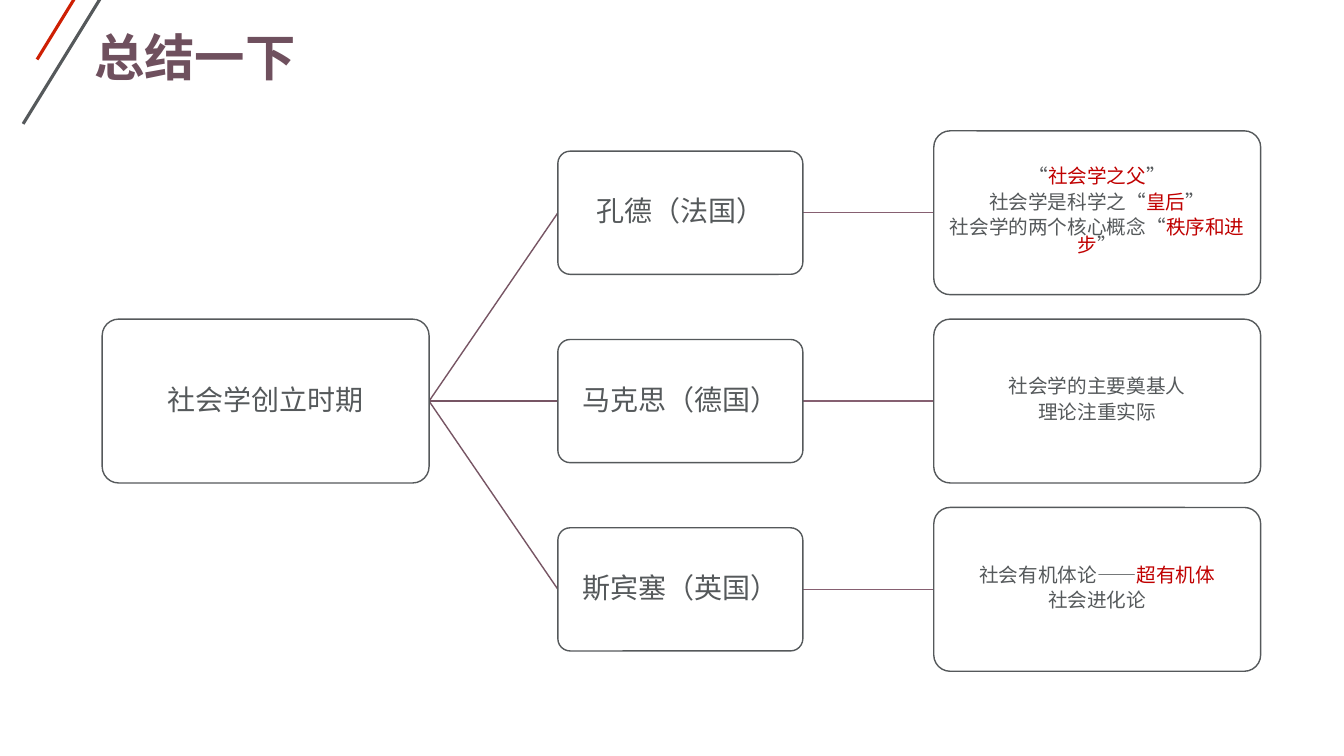
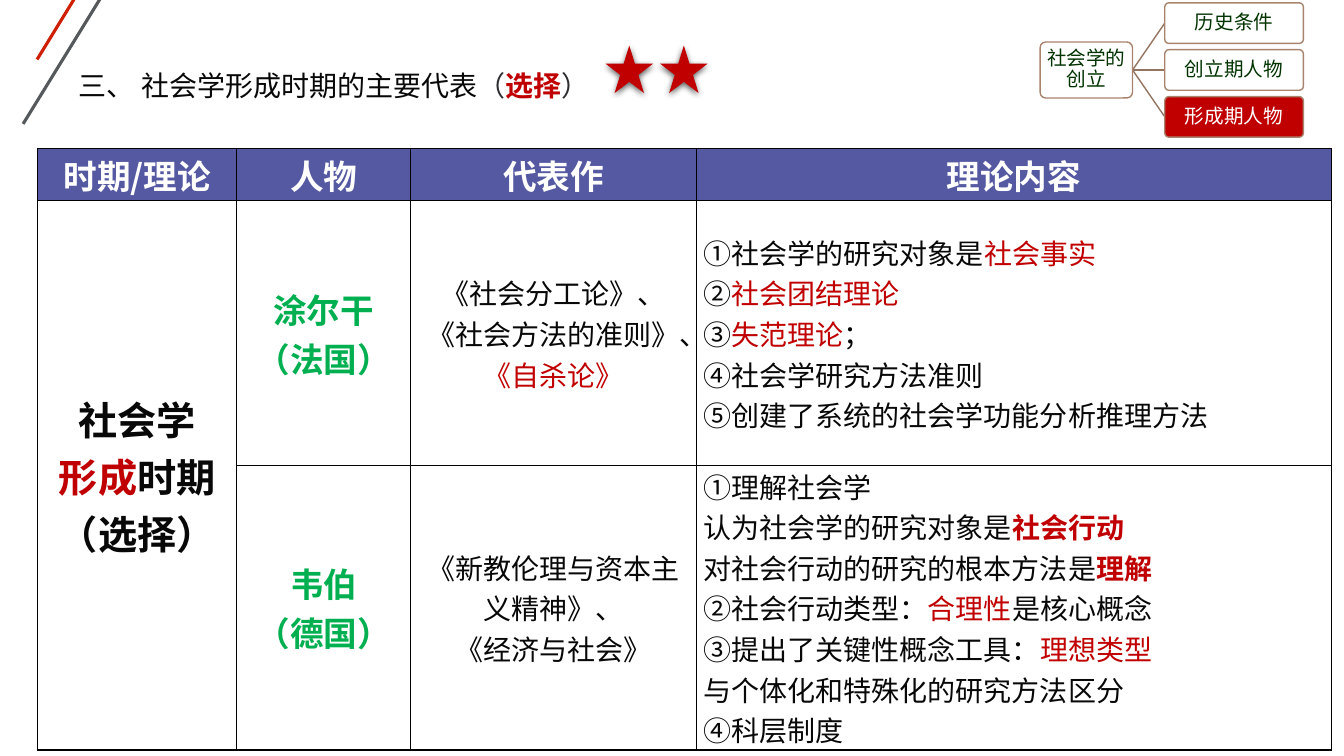
from lxml import etree
from pptx import Presentation
from pptx.dml.color import RGBColor
from pptx.enum import shapes, text
from pptx.oxml import ns
from pptx.util import Pt

SANS = "Noto Sans CJK SC"
GREY, RED, BLACK, WHITE = "55595B", "C00000", "080808", "FFFFFF"
MARKS = {"*": (RED, None), "!": (RED, True), "~": ("2A2C2E", None)}


def color(value):
    return RGBColor.from_string(value)


def write(frame, content, size=20, font=SANS, ink=BLACK, bold=False, align="CENTER",
          anchor="MIDDLE", spacing=1.0, after=0, inset=None, wrap=True):
    frame.word_wrap = wrap
    frame.auto_size = text.MSO_AUTO_SIZE.NONE
    frame.vertical_anchor = text.MSO_ANCHOR[anchor]
    if inset is not None:
        frame.margin_left = frame.margin_right = Pt(inset)
        frame.margin_top = frame.margin_bottom = Pt(inset)
    for index, row in enumerate(content.split("\n")):
        para = frame.add_paragraph() if index else frame.paragraphs[0]
        para.alignment = text.PP_ALIGN[align]
        para.line_spacing = spacing
        para.space_before = Pt(0)
        para.space_after = Pt(after)
        for piece in row.split("|"):
            span_ink, span_bold = MARKS.get(piece[0], (ink, None))
            span = para.add_run()
            span.text = piece.lstrip("*!~")
            span.font.size = Pt(size)
            span.font.bold = bold if span_bold is None else span_bold
            span.font.color.rgb = color(span_ink)
            span.font.name = font
            east = etree.SubElement(span.font._element, ns.qn("a:ea"))
            east.set("typeface", font)


deck = Presentation()
deck.slide_width, deck.slide_height = Pt(960), Pt(540)
layout = deck.slide_layouts[5]
summary = deck.slides.add_slide(layout)
theory = deck.slides.add_slide(layout)

titles = [
    (summary, (60, 18.5, 841, 47.5), "总结一下",
     dict(size=36, ink="6F505E", bold=True, anchor="BOTTOM", spacing=0.9)),
    (theory, (49, 32, 384, 58), "三、 社会学形成时期的主要代表|~（|!选择|~）", dict(wrap=False)),
]
for page, (left, top, width, height), content, style in titles:
    title = page.shapes.title
    title.left, title.top, title.width, title.height = Pt(left), Pt(top), Pt(width), Pt(height)
    write(title.text_frame, content, align="LEFT", **style)

table_lefts, table_top = 27, 106
columns = [142, 124.5, 204, 453.5]
rows = [37.5, 189, 203]
grid = theory.shapes.add_table(3, 4, Pt(table_lefts), Pt(table_top),
                               Pt(sum(columns)), Pt(sum(rows))).table
for column, width in zip(grid.columns, columns):
    column.width = Pt(width)
for row, height in zip(grid.rows, rows):
    row.height = Pt(height)
grid.cell(1, 0).merge(grid.cell(2, 0))

period = "社会学\n|*形成|时期\n（选择）".replace("\n|", "\n")
cells = [
    ["时期/理论", "人物", "代表作", "理论内容"],
    [period, "涂尔干\n（法国）", "《社会分工论》、《社会方法的准则》、|*《自杀论》",
     "①社会学的研究对象是|*社会事实\n②|*社会团结理论\n③|*失范理论|；\n"
     "④社会学研究方法准则\n⑤创建了系统的社会学功能分析推理方法"],
    ["", "韦伯\n（德国）", "《新教伦理与资本主义精神》、\n《经济与社会》",
     "①理解社会学\n认为社会学的研究对象是|!社会行动\n对社会行动的研究的根本方法是|!理解\n"
     "②社会行动类型：|*合理性|是核心概念\n③提出了关键性概念工具：|*理想类型\n"
     "与个体化和特殊化的研究方法区分\n④科层制度"],
]
header_style = dict(size=24, ink=WHITE, bold=True)
column_styles = [dict(size=28, bold=True), dict(size=24, ink="00B050", bold=True),
                 dict(), dict(align="LEFT")]
for row, contents in enumerate(cells):
    for column, content in enumerate(contents):
        cell = grid.cell(row, column)
        cell.margin_left = cell.margin_right = Pt(5)
        cell.margin_top = cell.margin_bottom = 0
        cell.vertical_anchor = text.MSO_ANCHOR.MIDDLE
        properties = cell._tc.get_or_add_tcPr()
        for side in ("a:lnL", "a:lnR", "a:lnT", "a:lnB"):
            border = etree.SubElement(properties, ns.qn(side), w=str(Pt(1)))
            fill = etree.SubElement(border, ns.qn("a:solidFill"))
            etree.SubElement(fill, ns.qn("a:srgbClr"), val="000000")
        if row == 0:
            cell.fill.solid()
            cell.fill.fore_color.rgb = color("5559A2")
        else:
            cell.fill.background()
        if content:
            write(cell.text_frame, content, **(column_styles[column] if row else header_style))
            cell.vertical_anchor = text.MSO_ANCHOR.MIDDLE

for left in (432.5, 471.5):
    star = theory.shapes.add_shape(shapes.MSO_SHAPE.STAR_5_POINT, Pt(left), Pt(32.5), Pt(34), Pt(34))
    star.fill.solid()
    star.fill.fore_color.rgb = color(RED)
    star.line.fill.background()
    star.shadow.inherit = False
    effects = star.element.spPr.find(ns.qn("a:effectLst"))
    shadow = etree.SubElement(effects, ns.qn("a:outerShdw"), blurRad=str(Pt(4.5)),
                              dist=str(Pt(1.5)), dir="5400000", rotWithShape="0")
    tint = etree.SubElement(shadow, ns.qn("a:srgbClr"), val="000000")
    etree.SubElement(tint, ns.qn("a:alpha"), val="63000")

label = dict(ink=GREY, spacing=0.9, after=7, inset=4)
detail = dict(size=14, ink=GREY, spacing=0.78, after=5, inset=4)
small = dict(size=14, font="Calibri", ink="003300", spacing=0.9, after=5, inset=1.5)
people = [
    ("孔德（法国）", "“|*社会学之父|”\n社会学是科学之“|*皇后|”\n社会学的两个核心概念“|*秩序和进步|”"),
    ("马克思（德国）", "社会学的主要奠基人\n理论注重实际"),
    ("斯宾塞（英国）", "社会有机体论——|*超有机体\n社会进化论"),
]
stages = ["历史条件", "创立期人物", "形成期人物"]

TAN = "A8846E"
nodes = [(summary, 73, 286.5, 233.5, 117, "社会学创立时期", label, WHITE, GREY),
         (theory, 743, 50, 66, 40, "社会学的创立", small, WHITE, TAN)]
lines = [(layout, 101.5, -49.5, 16.5, 88.5, GREY, 2.25),
         (layout, 111.5, -96, 26.5, 42.5, "CE1F03", 2.25)]
for index, (person, ideas) in enumerate(people):
    middle = 286.5 + (index - 1) * 134.5
    nodes += [(summary, 398.5, middle, 175, 88, person, label, WHITE, GREY),
              (summary, 667, middle, 233.5, 117, ideas, detail, WHITE, GREY)]
    lines += [(summary, 306.5, 286.5, 398.5, middle, "775564", 1),
              (summary, 573.5, middle, 667, middle, "866071", 1)]
for index, stage in enumerate(stages):
    middle = 50 + (index - 1) * 33.5
    current = index == 2
    style = {**small, "ink": WHITE} if current else small
    nodes.append((theory, 832, middle, 99, 29, stage, style, RED if current else WHITE, TAN))
    lines.append((theory, 809, 50, 832, middle, "947461", 1))

for number, (owner, x1, y1, x2, y2, ink, weight) in enumerate(lines, 100):
    page = summary if owner is layout else owner
    line = page.shapes.add_connector(shapes.MSO_CONNECTOR.STRAIGHT, Pt(x1), Pt(y1), Pt(x2), Pt(y2))
    line.line.color.rgb = color(ink)
    line.line.width = Pt(weight)
    etree.SubElement(line.element.spPr, ns.qn("a:effectLst"))
    if owner is layout:
        line.element.nvCxnSpPr.cNvPr.set("id", str(number))
        layout.shapes.element.append(line.element)

for page, left, middle, width, height, content, style, fill, outline in nodes:
    box = page.shapes.add_shape(shapes.MSO_SHAPE.ROUNDED_RECTANGLE, Pt(left),
                                Pt(middle - height / 2), Pt(width), Pt(height))
    box.adjustments[0] = 0.1
    box.shadow.inherit = False
    box.fill.solid()
    box.fill.fore_color.rgb = color(fill)
    box.line.color.rgb = color(outline)
    box.line.width = Pt(1)
    write(box.text_frame, content, **style)

deck.save("out.pptx")
